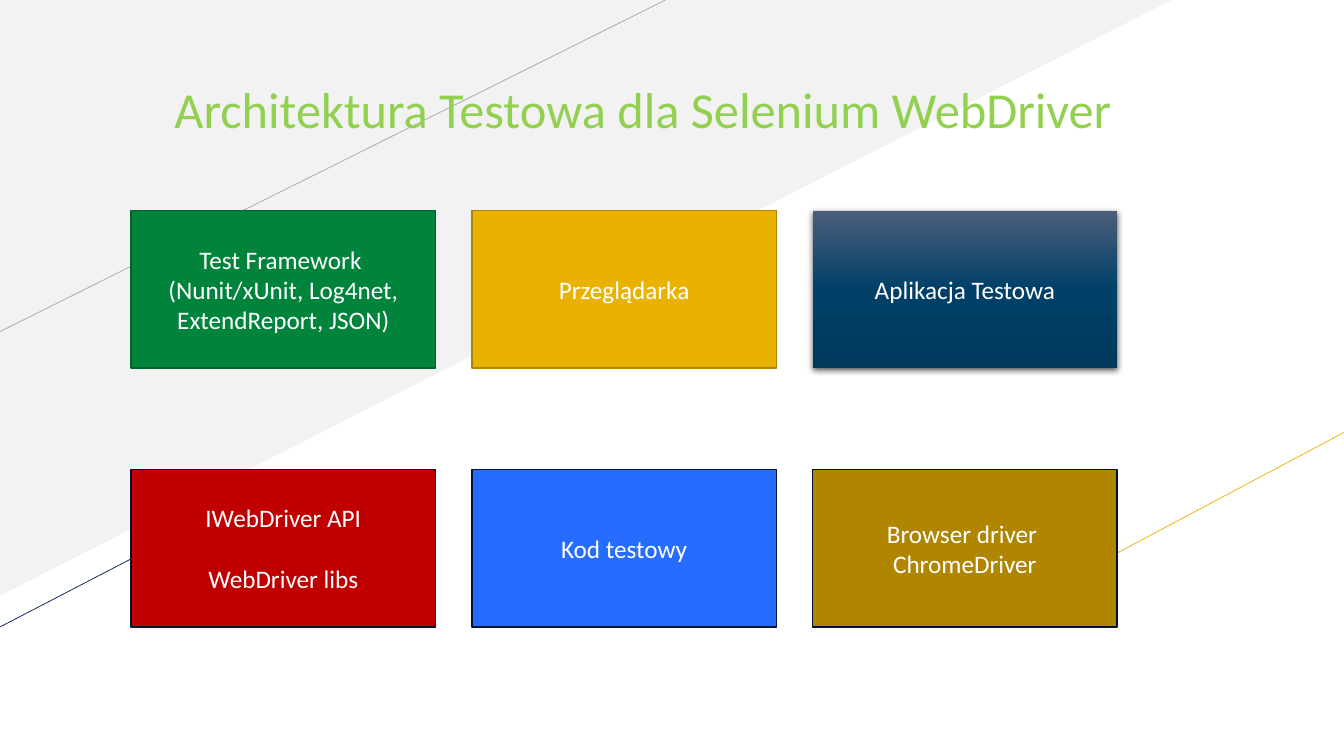
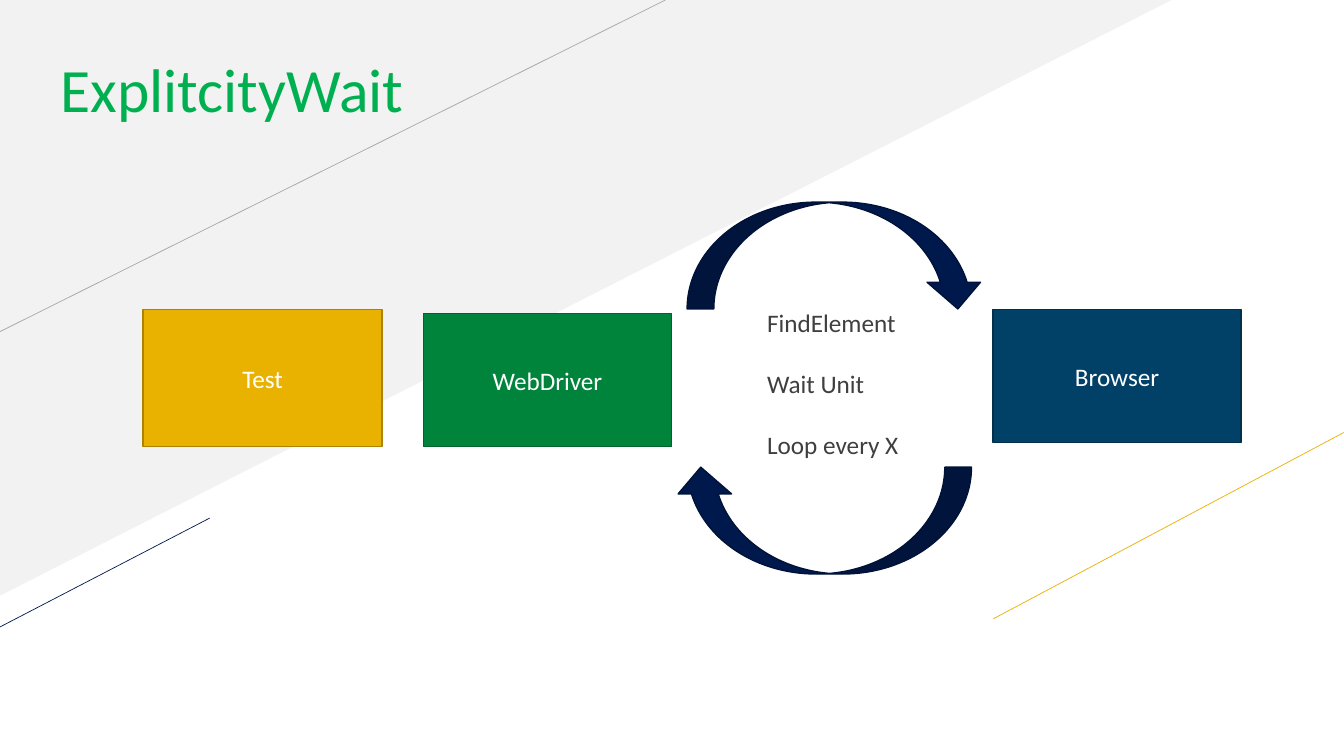
from lxml import etree
from pptx import Presentation
from pptx import util as u
from pptx.dml.color import RGBColor
from pptx.enum import shapes, text
from pptx.oxml.ns import qn

FONT = "Calibri"
WHITE, NAVY, NAVY_EDGE = "FFFFFF", "00194C", "001238"
GREEN, GREEN_EDGE = "00843B", "00622C"
YELLOW, YELLOW_EDGE = "EAB200", "AD8400"
BLANK_LINE = 22
BACKDROP_LINES = [
    ((0, 3.29), (6.6, 0), "A6A6A6"),
    ((9.85, 6.14), (13.33, 4.29), YELLOW),
    ((0, 6.22), (2.08, 5.14), NAVY),
]


def color(value):
    return RGBColor.from_string(value)


def inches(*values):
    return [u.Inches(value) for value in values]


def write(frame, lines, size, ink, align, anchor, gap=0):
    frame.word_wrap = True
    frame.vertical_anchor = anchor
    for index, line in enumerate(lines):
        paragraph = frame.paragraphs[0] if index == 0 else frame.add_paragraph()
        paragraph.alignment = align
        if index and gap:
            paragraph.space_before = u.Pt(gap)
        run = paragraph.add_run()
        run.text = line
        run.font.name = FONT
        run.font.size = u.Pt(size)
        run.font.color.rgb = color(ink)


def add_solid(slide, kind, place, fill, edge=None):
    shape = slide.shapes.add_shape(kind, *inches(*place))
    shape.shadow.inherit = False
    shape.fill.solid()
    shape.fill.fore_color.rgb = color(fill)
    if edge:
        shape.line.color.rgb = color(edge)
        shape.line.width = u.Pt(1)
    else:
        shape.line.fill.background()
    return shape


def add_box(slide, place, lines, fill, edge=None, gap=0):
    shape = add_solid(slide, shapes.MSO_SHAPE.RECTANGLE, place, fill, edge)
    write(shape.text_frame, lines, 18, WHITE,
          text.PP_ALIGN.CENTER, text.MSO_ANCHOR.MIDDLE, gap)
    return shape


def add_line(slide, start, end, ink):
    line = slide.shapes.add_connector(
        shapes.MSO_CONNECTOR.STRAIGHT, *inches(*start, *end))
    line.line.color.rgb = color(ink)
    line.line.width = u.Pt(0.5)
    etree.SubElement(line.element.spPr, qn("a:effectLst"))
    return line


def add_color_node(parent, value):
    return etree.SubElement(parent, qn("a:srgbClr"), val=value)


def add_gradient(shape, stops):
    shape.fill.gradient()
    shape.fill.gradient_angle = 270
    stop_list = shape.element.spPr.find(".//" + qn("a:gsLst"))
    for stop in list(stop_list):
        stop_list.remove(stop)
    for percent, value in stops:
        stop = etree.SubElement(stop_list, qn("a:gs"), pos=str(percent * 1000))
        add_color_node(stop, value)


def add_shadow(shape):
    effects = shape.element.spPr.find(qn("a:effectLst"))
    shadow = etree.SubElement(
        effects, qn("a:outerShdw"), blurRad=str(u.Pt(4.5)),
        dist=str(u.Pt(1.5)), dir="5400000", algn="ctr", rotWithShape="0")
    etree.SubElement(add_color_node(shadow, "000000"), qn("a:alpha"), val="63000")


def add_title(slide, place, line, size, ink):
    title = slide.shapes.title
    title.left, title.top, title.width, title.height = inches(*place)
    write(title.text_frame, [line], size, ink,
          text.PP_ALIGN.LEFT, text.MSO_ANCHOR.TOP)
    title.text_frame.auto_size = text.MSO_AUTO_SIZE.NONE


def move_backdrop_to_layout(slide):
    triangle = add_solid(slide, shapes.MSO_SHAPE.RIGHT_TRIANGLE,
                         (0, 0, 11.62, 5.91), "F2F2F2")
    triangle.element.spPr.find(qn("a:xfrm")).set("flipV", "1")
    parts = [triangle] + [add_line(slide, *line) for line in BACKDROP_LINES]
    tree = slide.slide_layout.shapes.element
    for index, part in enumerate(parts):
        part.element.find(".//" + qn("p:cNvPr")).set("id", str(100 + index))
        tree.insert(2 + index, part.element)


def build_architecture(slide):
    add_title(slide, (1.63, 0.72, 10.06, 0.71),
              "Architektura Testowa dla Selenium WebDriver", 36, "92D050")
    rows = [
        [(["Test Framework ", "(Nunit/xUnit, Log4net, ExtendReport, JSON)"],
          GREEN, GREEN_EDGE),
         (["Przeglądarka"], YELLOW, YELLOW_EDGE),
         (["Aplikacja Testowa"], "004068")],
        [(["IWebDriver API", "WebDriver libs"], "C00000", NAVY_EDGE, BLANK_LINE),
         (["Kod testowy"], "266DFF", NAVY_EDGE),
         (["Browser driver ", "ChromeDriver"], "B08500", NAVY_EDGE)],
    ]
    boxes = [
        [add_box(slide, (1.3 + 3.38 * column, 2.09 + 2.57 * row, 3.02, 1.56), *box)
         for column, box in enumerate(row_boxes)]
        for row, row_boxes in enumerate(rows)
    ]
    application = boxes[0][2]
    add_gradient(application, [(0, "4B5E7A"), (50, "004068"), (100, "00395C")])
    add_shadow(application)


def build_wait_loop(slide):
    add_title(slide, (0.5, 0.46, 7.67, 0.84), "ExplitcityWait", 44, "00B050")
    add_box(slide, (1.42, 3.07, 2.37, 1.36), ["Test"], YELLOW, YELLOW_EDGE)
    add_box(slide, (4.2, 3.11, 2.46, 1.32), ["WebDriver"], GREEN, GREEN_EDGE)
    add_box(slide, (9.85, 3.07, 2.46, 1.32), ["Browser"], "014067", "012F4C")
    steps = slide.shapes.add_textbox(*inches(7.51, 3, 2.19, 1.62))
    write(steps.text_frame, ["FindElement", "Wait Unit", "Loop every X"], 18,
          "3F3F3F", text.PP_ALIGN.LEFT, text.MSO_ANCHOR.TOP, BLANK_LINE)
    for left, top, rotation in [(7.76, 1.06, 270), (7.63, 3.69, 90)]:
        arrow = add_solid(slide, shapes.MSO_SHAPE.CURVED_LEFT_ARROW,
                          (left, top, 1.06, 2.95), NAVY, NAVY_EDGE)
        arrow.rotation = rotation


def main():
    presentation = Presentation()
    presentation.slide_width, presentation.slide_height = inches(13.33, 7.5)
    layout = presentation.slide_layouts.get_by_name("Title Only")
    architecture, wait_loop = [presentation.slides.add_slide(layout) for _ in range(2)]
    move_backdrop_to_layout(architecture)
    build_architecture(architecture)
    build_wait_loop(wait_loop)
    presentation.save("out.pptx")


if __name__ == "__main__":
    main()
